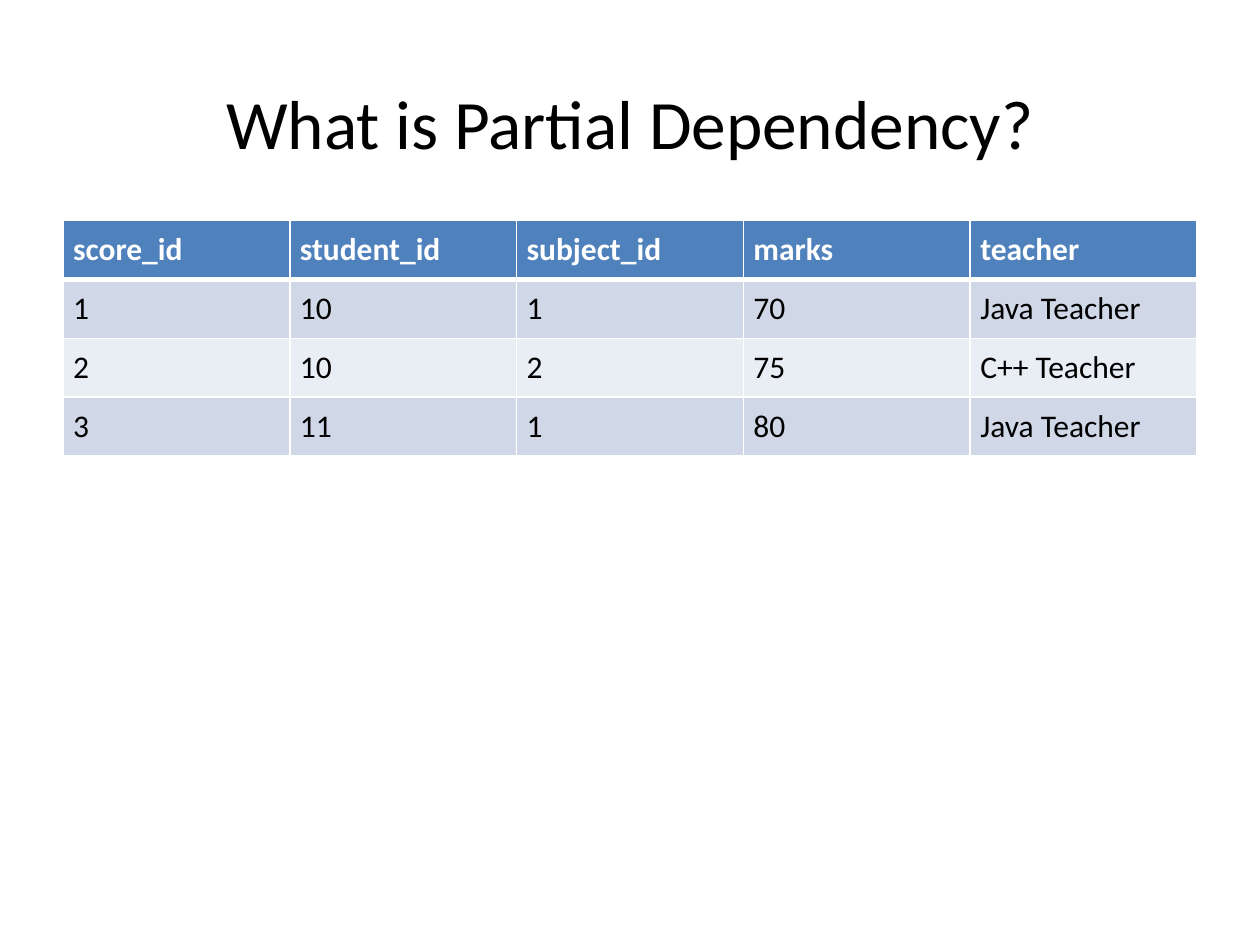
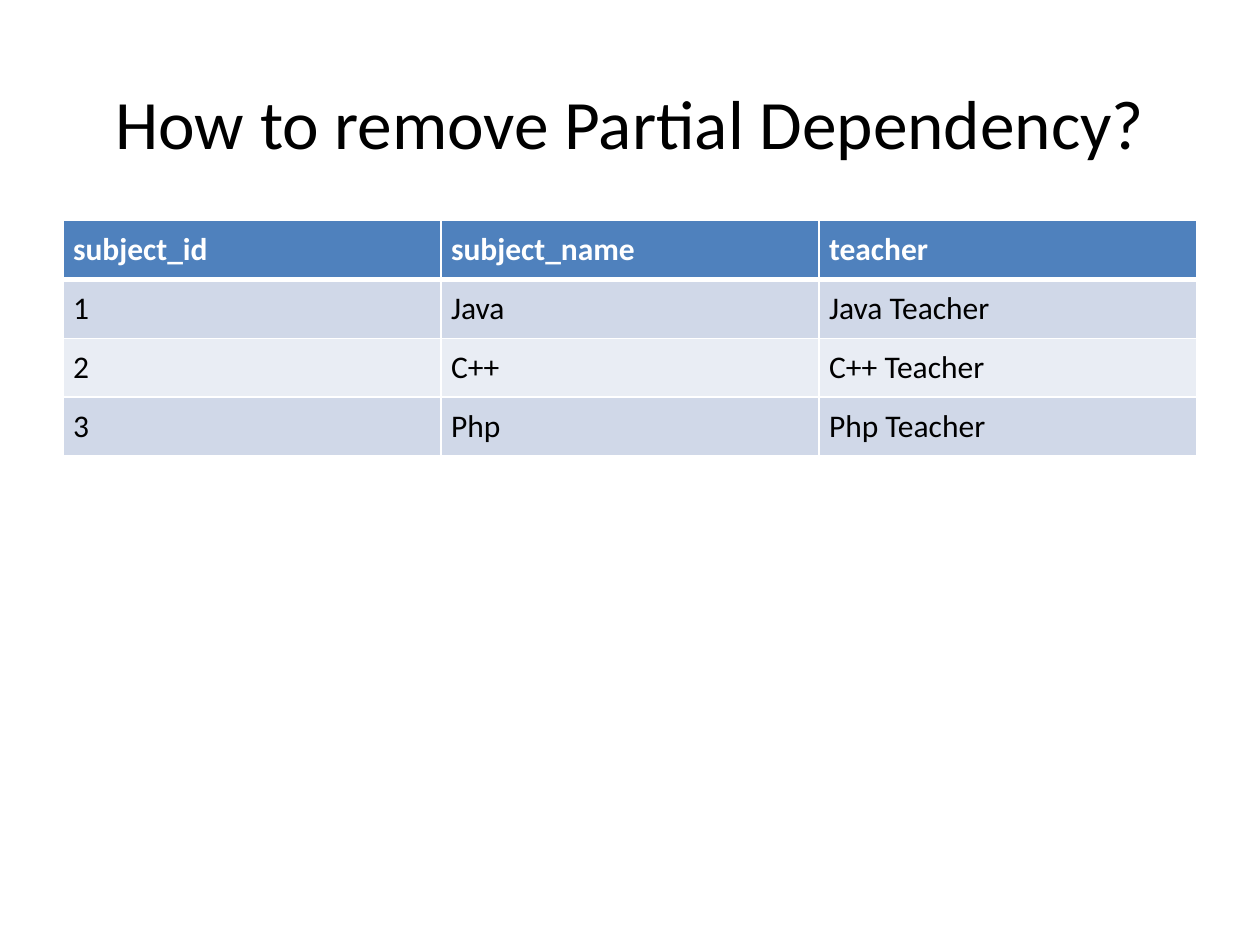
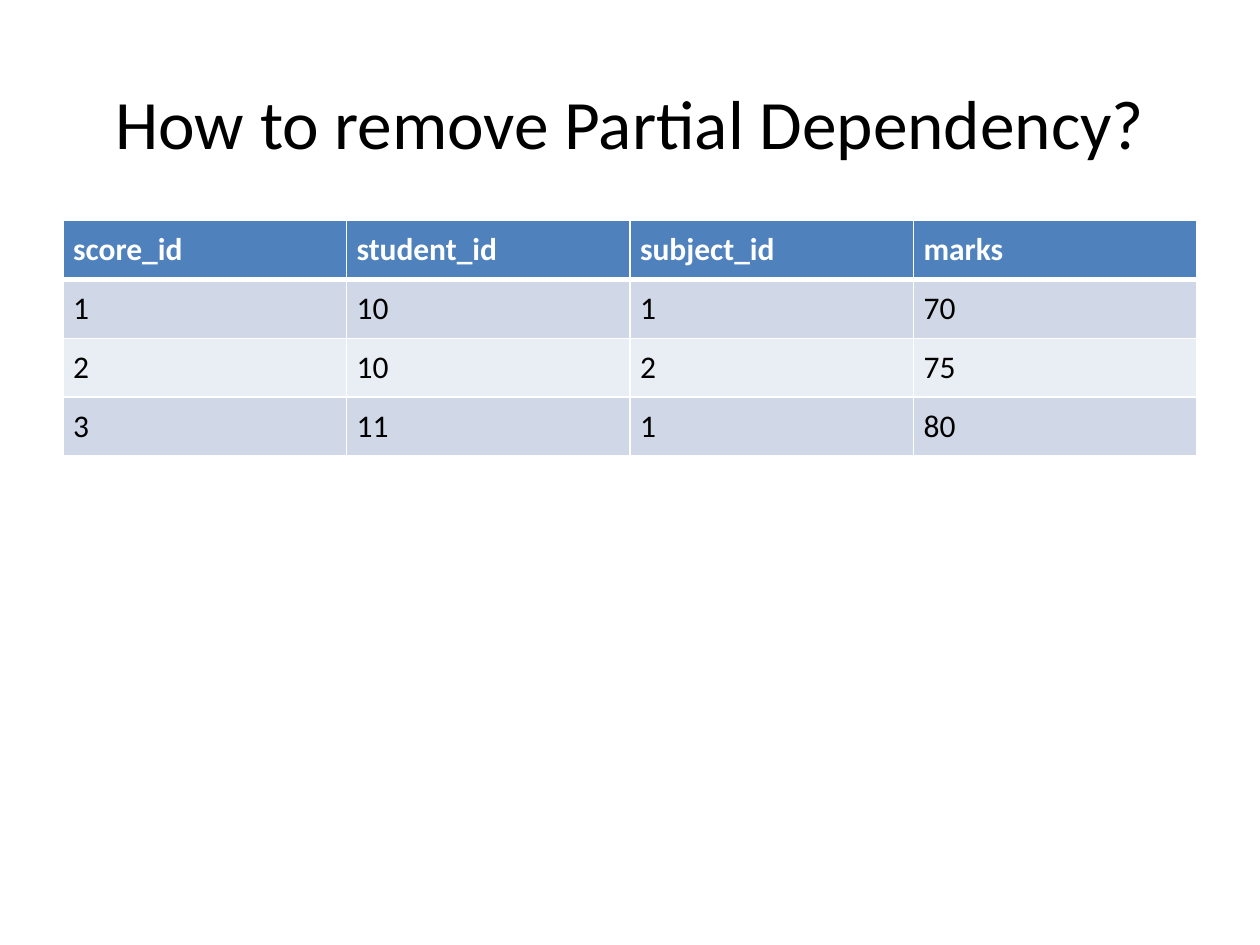
from pptx import Presentation
from pptx import util as u
from pptx.dml.color import RGBColor
from pptx.enum import text
from pptx.oxml.ns import qn
from lxml import etree

FONT = "Calibri"
WHITE, BLACK, BLUE = "FFFFFF", "000000", "4F81BD"
BANDS = ["D0D8E8", "E9EDF4"]
TITLE_BOX = (0.5, 0.3, 9, 1.25)
TABLE_BOX = (0.5, 1.75, 9, 1.87)
INSET = 0.08

SCORES = [
    ["score_id", "student_id", "subject_id", "marks", "teacher"],
    ["1", "10", "1", "70", "Java Teacher"],
    ["2", "10", "2", "75", "C++ Teacher"],
    ["3", "11", "1", "80", "Java Teacher"],
]
SUBJECTS = [
    ["subject_id", "subject_name", "teacher"],
    ["1", "Java", "Java Teacher"],
    ["2", "C++", "C++ Teacher"],
    ["3", "Php", "Php Teacher"],
]
REMOVE = "How to remove Partial Dependency?"
SLIDES = [
    ("What is Partial Dependency?", SCORES),
    (REMOVE, SUBJECTS),
    (REMOVE, [row[:-1] for row in SCORES]),
]


def paint(fmt, hue):
    fmt.solid()
    fmt.fore_color.rgb = RGBColor.from_string(hue)


def add_run(para, words, size, hue, bold=False):
    run = para.add_run()
    run.text = words
    run.font.name = FONT
    run.font.size = u.Pt(size)
    run.font.bold = bold
    paint(run.font.fill, hue)


def add_edges(cell, base):
    props = cell._tc.get_or_add_tcPr()
    for spot, side in enumerate("LRTB"):
        width = base if side == "B" else 1
        edge = etree.Element(qn(f"a:ln{side}"), w=str(u.Pt(width)))
        fill = etree.SubElement(edge, qn("a:solidFill"))
        etree.SubElement(fill, qn("a:srgbClr"), val=WHITE)
        props.insert(spot, edge)


def add_title(slide, box, words):
    title = slide.shapes.title
    title.left, title.top, title.width, title.height = map(u.Inches, box)
    frame = title.text_frame
    frame.word_wrap = True
    frame.auto_size = text.MSO_AUTO_SIZE.NONE
    frame.vertical_anchor = text.MSO_ANCHOR.MIDDLE
    frame.margin_top, frame.margin_bottom = u.Inches(0.13), u.Inches(0.05)
    para = frame.paragraphs[0]
    para.alignment = text.PP_ALIGN.CENTER
    add_run(para, words, 39.6, BLACK)


def fill_cell(cell, words, head, hue):
    cell.margin_left = cell.margin_right = u.Inches(INSET)
    cell.margin_top = cell.margin_bottom = u.Inches(INSET)
    paint(cell.fill, hue)
    add_edges(cell, 3 if head else 1)
    add_run(cell.text_frame.paragraphs[0], words, 18,
            WHITE if head else BLACK, head)


def add_grid(slide, box, rows):
    table = slide.shapes.add_table(
        len(rows), len(rows[0]), *map(u.Inches, box)).table
    for col in table.columns:
        col.width = u.Inches(box[2] / len(rows[0]))
    for r, row in enumerate(rows):
        table.rows[r].height = u.Inches(box[3] / len(rows))
        hue = BANDS[(r - 1) % 2] if r else BLUE
        for c, words in enumerate(row):
            fill_cell(table.cell(r, c), words, r == 0, hue)


def main():
    deck = Presentation()
    deck.slide_width, deck.slide_height = u.Inches(10), u.Inches(7.5)
    for title, rows in SLIDES:
        slide = deck.slides.add_slide(deck.slide_layouts[5])
        paint(slide.background.fill, WHITE)
        add_title(slide, TITLE_BOX, title)
        add_grid(slide, TABLE_BOX, rows)
    deck.save("out.pptx")


if __name__ == "__main__":
    main()
